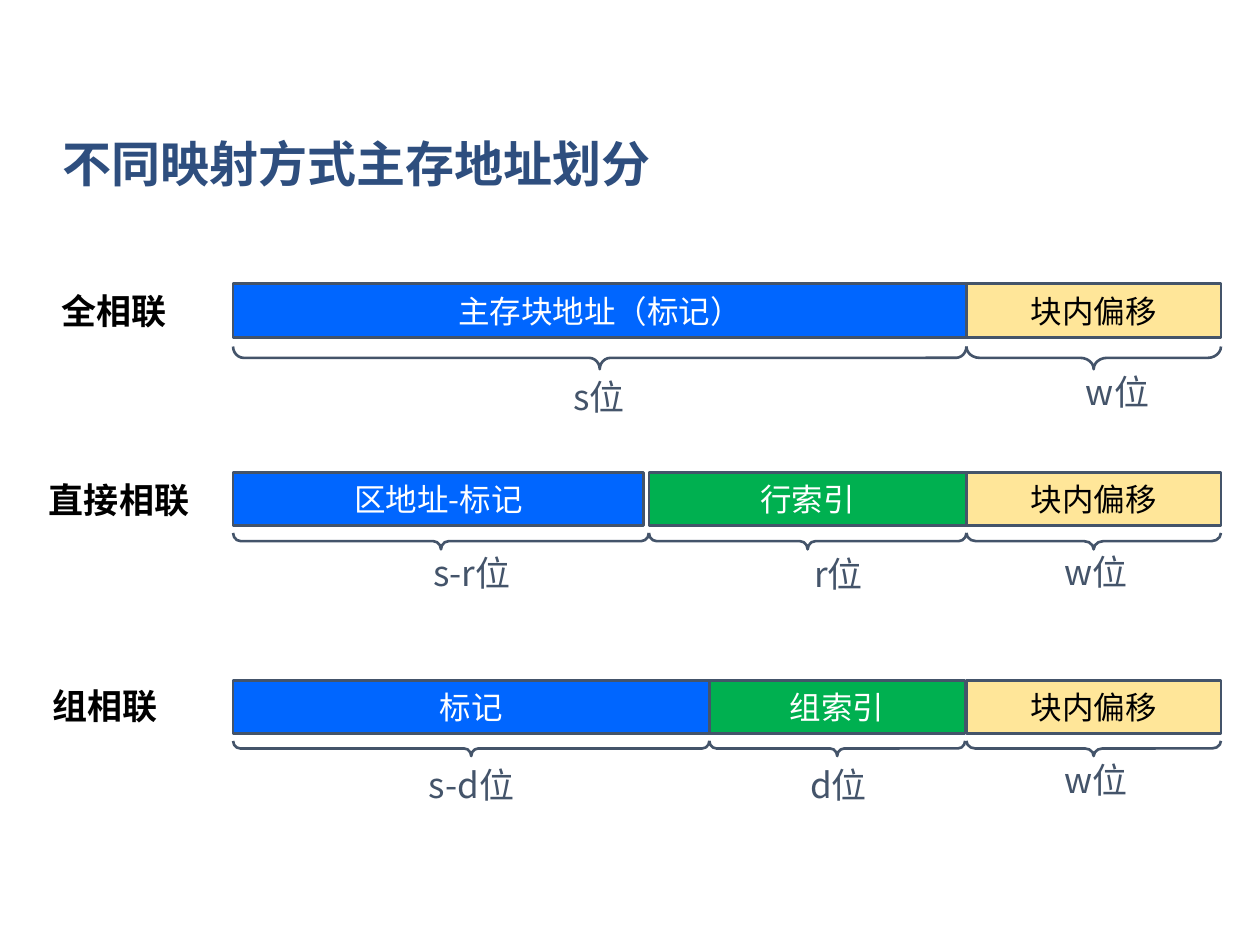
from lxml import etree
from pptx import Presentation
from pptx.dml.color import RGBColor
from pptx.enum import shapes, text
from pptx.oxml.ns import qn
from pptx.util import Inches, Pt

FONT = "Noto Sans CJK SC"
BLUE, GREEN, YELLOW = "0066FF", "00B050", "FFE699"
SLATE, NAVY, WHITE, BLACK = "44546A", "2E4E7E", "FFFFFF", "000000"
MIDDLE, TOP = text.MSO_ANCHOR.MIDDLE, text.MSO_ANCHOR.TOP
CENTER, LEFT = text.PP_ALIGN.CENTER, text.PP_ALIGN.LEFT


def color(value):
    return RGBColor.from_string(value)


def write(sp, words, size=20, ink=BLACK, bold=False, align=CENTER,
          anchor=MIDDLE, inset=None, wrap=True, spacing=None):
    tf = sp.text_frame
    tf.word_wrap = wrap
    tf.vertical_anchor = anchor
    if inset is not None:
        tf.margin_left = tf.margin_right = Inches(inset)
        tf.margin_top = tf.margin_bottom = Inches(inset)
    p = tf.paragraphs[0]
    p.alignment = align
    if spacing:
        p.line_spacing = spacing
    r = p.add_run()
    r.text = words
    r.font.size, r.font.bold, r.font.name = Pt(size), bold, FONT
    r.font.color.rgb = color(ink)
    # East Asian typeface
    etree.SubElement(r.font._element, qn("a:ea"), typeface=FONT)


def add_text(parent, box, words, **fmt):
    sp = parent.add_textbox(*map(Inches, box))
    write(sp, words, **fmt)


def outlined(parent, kind, box):
    sp = parent.add_shape(kind, *map(Inches, box))
    sp.shadow.inherit = False
    sp.line.color.rgb = color(SLATE)
    sp.line.width = Pt(1.5)
    return sp


def add_field(parent, box, words, fill):
    sp = outlined(parent, shapes.MSO_SHAPE.RECTANGLE, box)
    sp.fill.solid()
    sp.fill.fore_color.rgb = color(fill)
    write(sp, words, size=18, ink=BLACK if fill == YELLOW else WHITE)


def add_brace(parent, x, y, span, depth, curve):
    """Downward brace under a field, turned about its centre."""
    box = (x + (span - depth) / 2, y + (depth - span) / 2, depth, span)
    sp = outlined(parent, shapes.MSO_SHAPE.LEFT_BRACE, box)
    sp.rotation = 270
    sp.fill.background()
    sp.adjustments[0] = curve
    sp.adjustments[1] = 0.5


def add_address(s, top, height, fields, brace_top, depth, anchor):
    """One address bar: its fields, their braces and their bit counts."""
    group = s.shapes.add_group_shape().shapes
    for words, fill, x, width, span, curve, bits, bits_box in fields:
        add_field(group, (x, top, width, height), words, fill)
        add_brace(group, x, brace_top, span, depth, curve)
        add_text(group, (*bits_box, 0.25), bits, ink=SLATE,
                 inset=0, anchor=anchor)


def offset_field(*bits_box):
    return ("块内偏移", YELLOW, 7.67, 2.02, 2.02, 0.58, "w位", bits_box)


def main():
    prs = Presentation()
    prs.slide_width, prs.slide_height = Inches(10), Inches(7.5)
    s = prs.slides.add_slide(prs.slide_layouts[6])

    # Title
    add_text(s.shapes, (0.4, 0.98, 8.62, 0.68), "不同映射方式主存地址划分",
             size=28, ink=NAVY, bold=True, align=LEFT, spacing=0.9)

    # Address bars: words, fill, left, width, brace span, curve, bits, bits box
    add_address(s, 2.25, 0.43, [
        ("主存块地址（标记）", BLUE, 1.85, 5.82, 5.82, 0.47, "s位", (4.4, 2.98, 0.71)),
        offset_field(8.5, 2.94, 0.74),
    ], brace_top=2.75, depth=0.18, anchor=TOP)
    add_address(s, 3.75, 0.42, [
        ("区地址-标记", BLUE, 1.85, 3.26, 3.3, 0.47, "s-r位", (3.19, 4.42, 1.11)),
        ("行索引", GREEN, 5.15, 2.52, 2.52, 0.47, "r位", (6.1, 4.43, 1.11)),
        offset_field(8.12, 4.41, 1.15),
    ], brace_top=4.23, depth=0.13, anchor=MIDDLE)
    add_address(s, 5.4, 0.42, [
        ("标记", BLUE, 1.85, 3.78, 3.78, 0.47, "s-d位", (3.19, 6.1, 1.11)),
        ("组索引", GREEN, 5.63, 2.03, 2.03, 0.47, "d位", (6.1, 6.1, 1.11)),
        offset_field(8.12, 6.06, 1.15),
    ], brace_top=5.88, depth=0.12, anchor=MIDDLE)

    # Mapping names
    for words, x, y, width in [("全相联", 0.39, 2.25, 1.29),
                               ("直接相联", 0.29, 3.75, 1.42),
                               ("组相联", 0.32, 5.38, 1.42)]:
        add_text(s.shapes, (x, y, width, 0.44), words, bold=True,
                 align=LEFT, anchor=TOP)

    prs.save("out.pptx")


if __name__ == "__main__":
    main()
